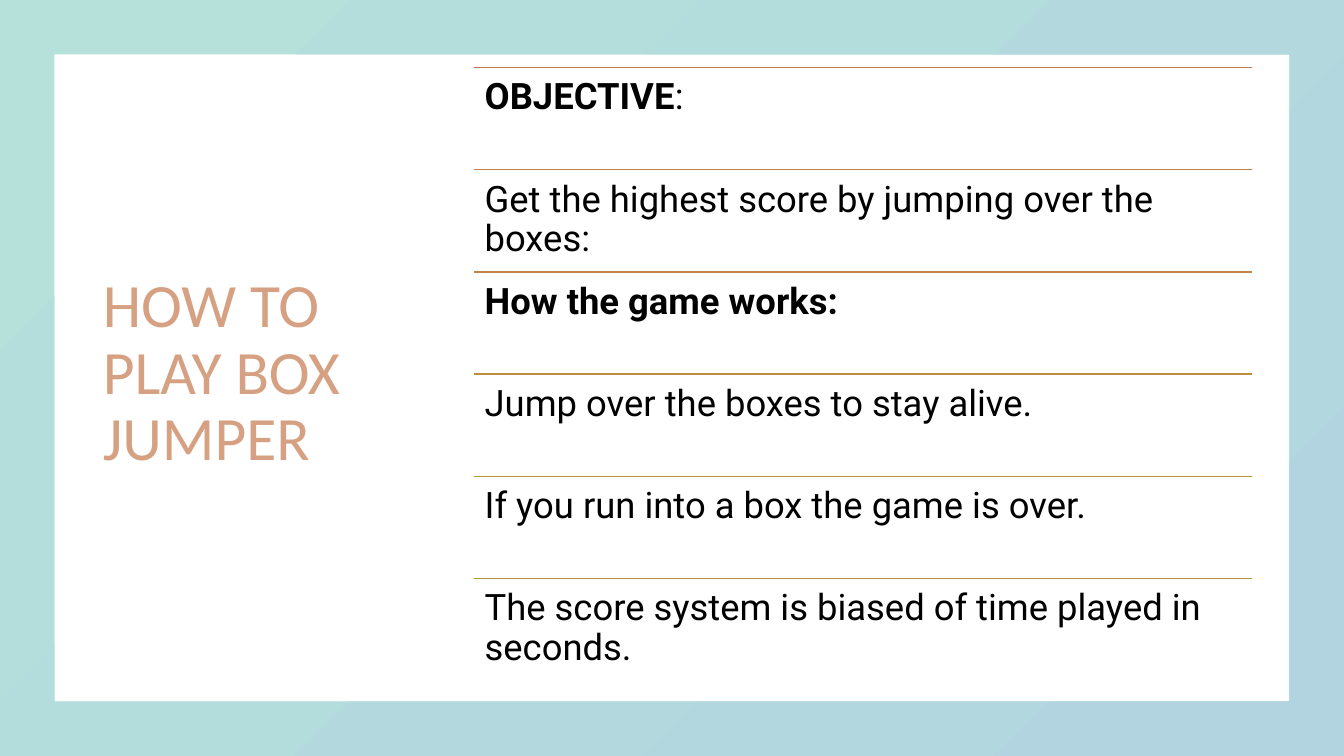
"""Build the slide that explains how to play Box Jumper."""
import pptx
import pptx.dml.color
import pptx.enum.shapes
import pptx.enum.text
import pptx.util
import lxml.etree

Pt = pptx.util.Pt
RGB = pptx.dml.color.RGBColor.from_string
COLOURS = {"mint": "B5E1DA", "sky": "B1D4E0", "title": "D5A182", "text": "000000"}
RULES = [
    ("C3794D", "OBJECTIVE", ":"),
    ("C17F48", "", "Get the highest score by jumping over the boxes:"),
    ("C08642", "How the game works:", ""),
    ("BC8D3F", "", "Jump over the boxes to stay alive."),
    ("B6933D", "", "If you run into a box the game is over."),
    ("B1993B", "", "The score system is biased of time played in seconds."),
]
LIST_LEFT, LIST_TOP, LIST_WIDTH, ROW_HEIGHT = 338.4, 48.24, 555.8, 73

deck = pptx.Presentation()
deck.slide_width, deck.slide_height = Pt(960), Pt(540)
page = deck.slides.add_slide(deck.slide_layouts[5])

frame = page.shapes.add_shape(
    pptx.enum.shapes.MSO_SHAPE.FRAME, 0, 0, deck.slide_width, deck.slide_height)
frame.adjustments[0] = 0.072
frame.shadow.inherit = False
frame.line.fill.background()
frame.fill.gradient()
frame.fill.gradient_angle = 315
for stop, name in zip(frame.fill.gradient_stops, ("mint", "sky")):
    stop.color.rgb = RGB(COLOURS[name])

title = page.shapes.title
title.left, title.top, title.width, title.height = Pt(66.24), Pt(48.24), Pt(252), Pt(438.5)
title.text_frame.text = "HOW TO PLAY BOX JUMPER"
title.text_frame.word_wrap = True
title.text_frame.auto_size = pptx.enum.text.MSO_AUTO_SIZE.NONE
title.text_frame.vertical_anchor = pptx.enum.text.MSO_ANCHOR.MIDDLE
para = title.text_frame.paragraphs[0]
para.alignment = pptx.enum.text.PP_ALIGN.LEFT
para.line_spacing = 0.9
para.font.name, para.font.size = "Calibri", Pt(44)
para.font.color.rgb = RGB(COLOURS["title"])

for row, (colour, heading, detail) in enumerate(RULES):
    top = Pt(LIST_TOP + row * ROW_HEIGHT)
    divider = page.shapes.add_connector(
        pptx.enum.shapes.MSO_CONNECTOR.STRAIGHT,
        Pt(LIST_LEFT), top, Pt(LIST_LEFT + LIST_WIDTH), top)
    divider.line.color.rgb = RGB(colour)
    divider.line.width = Pt(1)
    lxml.etree.SubElement(
        divider._element.spPr, pptx.oxml.ns.qn("a:effectLst"))

    box = page.shapes.add_textbox(Pt(LIST_LEFT), top, Pt(LIST_WIDTH), Pt(ROW_HEIGHT))
    text = box.text_frame
    text.word_wrap = True
    text.margin_left = text.margin_right = text.margin_top = text.margin_bottom = Pt(7.8)
    para = text.paragraphs[0]
    para.line_spacing = 0.9
    para.font.name, para.font.size = "Roboto", Pt(26)
    para.font.color.rgb = RGB(COLOURS["text"])
    for words, bold in ((heading, True), (detail, False)):
        if words:
            span = para.add_run()
            span.text = words
            span.font.bold = bold

deck.save("out.pptx")
